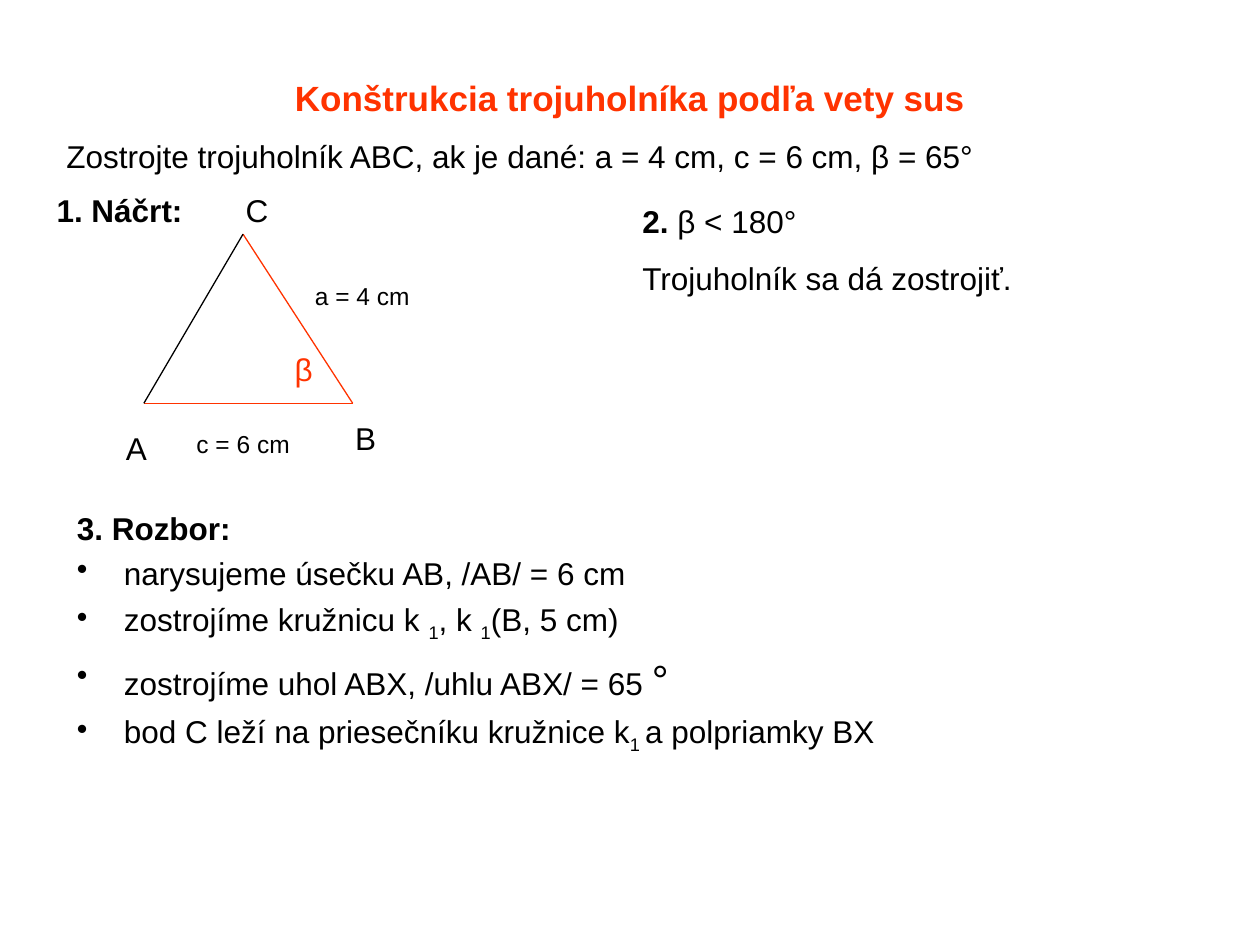
from lxml import etree
from pptx import Presentation
from pptx.dml.color import RGBColor
from pptx.enum.shapes import MSO_CONNECTOR
from pptx.enum.text import MSO_ANCHOR, PP_ALIGN
from pptx.oxml.ns import qn
from pptx.util import Cm, Pt

STRAIGHT = MSO_CONNECTOR.STRAIGHT
MIDDLE = MSO_ANCHOR.MIDDLE
CENTER = PP_ALIGN.CENTER

COLORS = {"text": "000000", "accent": "FF3300"}
FONT = "Arial"
BULLET_INDENT = Cm(0.95)


def color(name):
    return RGBColor.from_string(COLORS[name])


def add_box(s, left, top, width, height):
    tf = s.shapes.add_textbox(Cm(left), Cm(top), Cm(width), Cm(height)).text_frame
    tf.word_wrap = True
    return tf


def add_run(p, text, size=18, bold=False, fill="text", subscript=False):
    r = p.add_run()
    r.text = text
    r.font.name = FONT
    r.font.size = Pt(size)
    r.font.bold = bold
    r.font.color.rgb = color(fill)
    if subscript:
        r._r.get_or_add_rPr().set("baseline", "-25000")


def add_label(s, text, left, top, width, height, **style):
    tf = add_box(s, left, top, width, height)
    add_run(tf.paragraphs[0], text, **style)
    return tf


def add_bullet(p):
    pPr = p._p.get_or_add_pPr()
    pPr.set("marL", str(BULLET_INDENT))
    pPr.set("indent", str(-BULLET_INDENT))
    etree.SubElement(pPr, qn("a:buChar")).set("char", "•")


def add_side(s, start, end, fill):
    """Draw one triangle side between two points in centimetres."""
    line = s.shapes.add_connector(STRAIGHT, *(Cm(v) for v in start + end))
    line.line.color.rgb = color(fill)
    line.line.width = Pt(0.75)
    etree.SubElement(line._element.spPr, qn("a:effectLst"))


def title(s, left, top, width, height):
    tf = add_label(s, "Konštrukcia trojuholníka podľa vety sus",
                   left, top, width, height, size=20, bold=True, fill="accent")
    tf.vertical_anchor = MIDDLE
    tf.margin_bottom = Cm(0.91)
    tf.paragraphs[0].alignment = CENTER


def assignment(s, left, top, width, height):
    tf = add_label(s, "Zostrojte trojuholník ABC, ak je dané: a = 4 cm, c = 6 cm, β = 65°",
                   left, top, width, height)
    tf.paragraphs[0].line_spacing = 0.9


def sketch(s, left, top, width):
    """Heading and triangle ABC with its labelled vertices, sides and angle."""
    add_label(s, "1. Náčrt:", left, top, width, 1.02, bold=True)

    a, b, c = [(left + x, top + y) for x, y in ((2.01, 4.4), (6.22, 4.4), (4.01, 0.99))]
    for start, end, fill in ((a, b, "accent"), (b, c, "accent"), (c, a, "text")):
        add_side(s, start, end, fill)

    for text, x, y, w, size, fill in (
        ("β", 4.8, 3.2, 1, 18, "accent"),
        ("A", 1.4, 4.8, 1, 18, "text"),
        ("B", 6.02, 4.6, 1.8, 18, "text"),
        ("C", 3.81, 0, 0.79, 18, "text"),
        ("a = 4 cm", 5.21, 1.81, 3.2, 14, "text"),
        ("c = 6 cm", 2.82, 4.8, 2.79, 14, "text"),
    ):
        add_label(s, text, left + x, top + y, w, 1.02, size=size, fill=fill)


def condition(s, left, top, width, height):
    tf = add_label(s, "2. ", left, top, width, height, bold=True)
    add_run(tf.paragraphs[0], "β < 180°")
    p = tf.add_paragraph()
    p.space_before = Pt(11.2)
    add_run(p, "Trojuholník sa dá zostrojiť.")


def analysis(s, left, top, width, height):
    """Heading and bulleted construction steps, each a list of (text, style) runs."""
    sub = {"subscript": True}
    steps = (
        (4.5, [("narysujeme úsečku AB, /AB/ = 6 cm", {})]),
        (4.5, [("zostrojíme kružnicu k ", {}), ("1", sub), (", k ", {}),
               ("1", sub), ("(B, 5 cm)", {})]),
        (6, [("zostrojíme uhol ABX, /uhlu ABX/ = 65 ", {}), ("°", {"size": 24})]),
        (4.5, [("bod C leží na priesečníku kružnice k", {}), ("1 ", sub),
               ("a polpriamky BX", {})]),
    )
    tf = add_label(s, "3. Rozbor:", left, top, width, height, bold=True)
    for space, runs in steps:
        p = tf.add_paragraph()
        add_bullet(p)
        p.space_before = Pt(space)
        for text, style in runs:
            add_run(p, text, **style)


def main():
    prs = Presentation()
    prs.slide_width, prs.slide_height = Cm(25.4), Cm(19.05)
    s = prs.slides.add_slide(prs.slide_layouts[6])
    title(s, 1.27, 0.76, 22.86, 3.18)
    analysis(s, 1.3, 10.13, 16.79, 12.57)
    assignment(s, 1.09, 2.72, 22, 0.94)
    condition(s, 12.7, 3.94, 10.41, 4.5)
    sketch(s, 0.89, 3.73, 7.39)
    prs.save("out.pptx")


if __name__ == "__main__":
    main()
